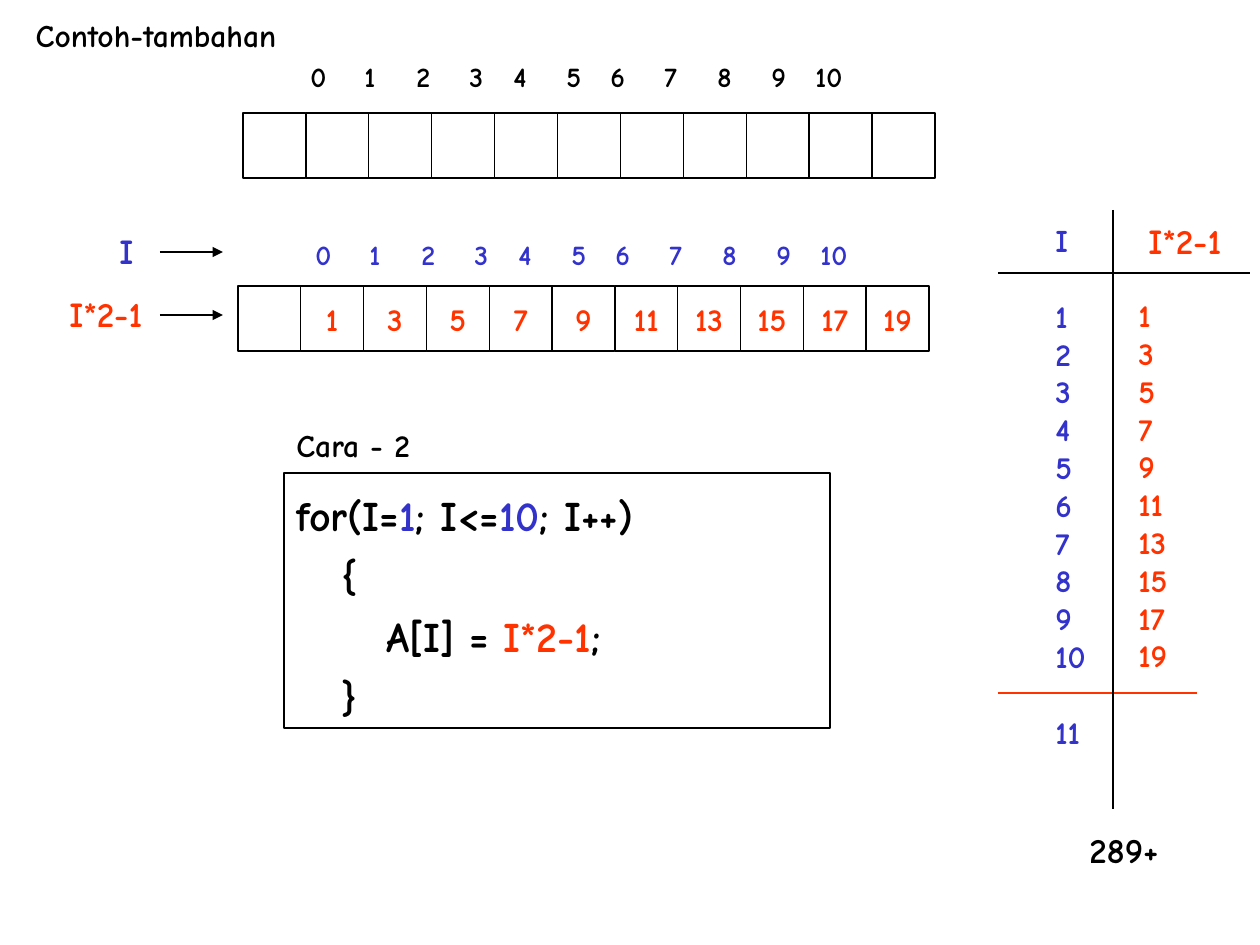
from itertools import accumulate

from lxml import etree
from pptx import Presentation
from pptx.dml.color import RGBColor
from pptx.enum.shapes import MSO_CONNECTOR, MSO_SHAPE
from pptx.enum.text import MSO_ANCHOR, MSO_AUTO_SIZE, PP_ALIGN
from pptx.oxml.ns import qn
from pptx.util import Emu, Pt

BLACK = RGBColor(0x00, 0x00, 0x00)
BLUE = RGBColor(0x33, 0x33, 0xCC)
RED = RGBColor(0xFF, 0x33, 0x00)
FONT = "Comic Neue"

# Content
TITLE = "Contoh-tambahan"
INDEXES = [str(i) for i in range(11)]
INDEX_GAPS = [54, 52, 53, 44, 53, 44, 54, 53, 54, 44]
VALUES = [str(i * 2 - 1) for i in range(1, 11)]
CODE = [
    [("for(I=", BLACK), ("1", BLUE), ("; I<=", BLACK), ("10", BLUE), ("; I++)", BLACK)],
    [("   {", BLACK)],
    [("      A[I] = ", BLACK), ("I*2-1", RED), (";", BLACK)],
    [("   }", BLACK)],
]
# left, top, width of the array, index row left and top, index colour, values
ARRAYS = [
    (243, 113, 692, 298, 53, BLACK, [""] * 11),
    (238, 286, 691, 303, 231, BLUE, [""] + VALUES),
]
CELL_HEIGHT = 65
# left, top, width, height, size, colour, lines
LABELS = [
    (107, 223, 39, 55, 20, BLUE, ["I"]),
    (57, 286, 98, 55, 20, RED, ["I*2-1"]),
    (284, 420, 140, 50, 18, BLACK, ["Cara - 2"]),
    (1043, 215, 64, 542, 18, BLUE, ["I"] + INDEXES[1:] + ["11"]),
    (1126, 290, 60, 391, 18, RED, VALUES),
    (1136, 213, 98, 55, 20, RED, ["I*2-1"]),
    (1077, 822, 95, 55, 20, BLACK, ["289+"]),
]
LINE_PITCH = 21.6
# x1, y1, x2, y2, colour, arrowhead
LINES = [
    (160, 252, 223, 252, BLACK, True),
    (160, 315, 223, 315, BLACK, True),
    (998, 273, 1250, 273, BLACK, False),
    (998, 693, 1197, 693, RED, False),
    (1113, 210, 1113, 809, BLACK, False),
]


def px(value):
    return Emu(round(value * 914400 / 126))


def style(font, size, color):
    font.name, font.size, font.bold = FONT, Pt(size), True
    font.color.rgb = color


def add_label(left, top, width, height, size, color, lines):
    box = slide.shapes.add_textbox(px(left), px(top), px(width), px(height))
    frame = box.text_frame
    # A column of several lines keeps its left edge in a wrapping box
    frame.word_wrap = len(lines) > 1
    frame.text = "\n".join(lines)
    for paragraph in frame.paragraphs:
        for run in paragraph.runs:
            style(run.font, size, color)
    return frame


def add_box(left, top, width, height):
    shape = slide.shapes.add_shape(
        MSO_SHAPE.RECTANGLE, px(left), px(top), px(width), px(height))
    shape.shadow.inherit = False
    shape.fill.background()
    shape.line.color.rgb = BLACK
    shape.line.width = Pt(0.75)
    return shape


def add_index_row(left, top, color):
    frame = add_label(left, top, 570, 47, 16, color, ["\t".join(INDEXES)])
    frame.word_wrap = True
    properties = frame.paragraphs[0]._p.get_or_add_pPr()
    tabs = etree.SubElement(properties, qn("a:tabLst"))
    for offset in accumulate(INDEX_GAPS):
        etree.SubElement(tabs, qn("a:tab"), pos=str(px(offset)), algn="l")


def add_line(x1, y1, x2, y2, color, arrowhead):
    line = slide.shapes.add_connector(
        MSO_CONNECTOR.STRAIGHT, px(x1), px(y1), px(x2), px(y2))
    line.line.color.rgb = color
    line.line.width = Pt(0.75)
    if arrowhead:
        etree.SubElement(line.line._get_or_add_ln(), qn("a:tailEnd"), type="triangle")
    etree.SubElement(line._element.spPr, qn("a:effectLst"))


presentation = Presentation()
presentation.slide_width, presentation.slide_height = px(1260), px(945)
slide = presentation.slides.add_slide(presentation.slide_layouts[5])

# Title
title = slide.shapes.title
title.left, title.top, title.width, title.height = px(23), px(10), px(267), px(50)
title.text_frame.text = TITLE
title.text_frame.word_wrap = False
title.text_frame.auto_size = MSO_AUTO_SIZE.NONE
title.text_frame.vertical_anchor = MSO_ANCHOR.TOP
title.text_frame.paragraphs[0].alignment = PP_ALIGN.LEFT
style(title.text_frame.paragraphs[0].runs[0].font, 18, BLACK)

# Arrays with their index rows
for left, top, width, index_left, index_top, color, values in ARRAYS:
    cell_width = width / len(values)
    for i, value in enumerate(values):
        cell = add_box(left + i * cell_width, top, cell_width, CELL_HEIGHT)
        if value:
            frame = cell.text_frame
            frame.text = value
            frame.word_wrap = False
            frame.vertical_anchor = MSO_ANCHOR.MIDDLE
            frame.paragraphs[0].alignment = PP_ALIGN.CENTER
            style(frame.paragraphs[0].runs[0].font, 18, RED)
    add_index_row(index_left, index_top, color)

# Labels and the columns of the trace table
for label in LABELS:
    paragraphs = add_label(*label).paragraphs
    if paragraphs[0].text == "I" and len(paragraphs) > 1:
        for paragraph in (paragraphs[1], paragraphs[-1]):
            paragraph.space_before = Pt(LINE_PITCH)

# Arrows and rules
for line in LINES:
    add_line(*line)

# Code
code_frame = add_box(284, 473, 546, 255).text_frame
code_frame.word_wrap = True
code_frame.vertical_anchor = MSO_ANCHOR.TOP
for i, pieces in enumerate(CODE):
    paragraph = code_frame.add_paragraph() if i else code_frame.paragraphs[0]
    paragraph.alignment = PP_ALIGN.LEFT
    paragraph.line_spacing = 1.2
    for text, color in pieces:
        run = paragraph.add_run()
        run.text = text
        style(run.font, 24, color)

presentation.save("out.pptx")
